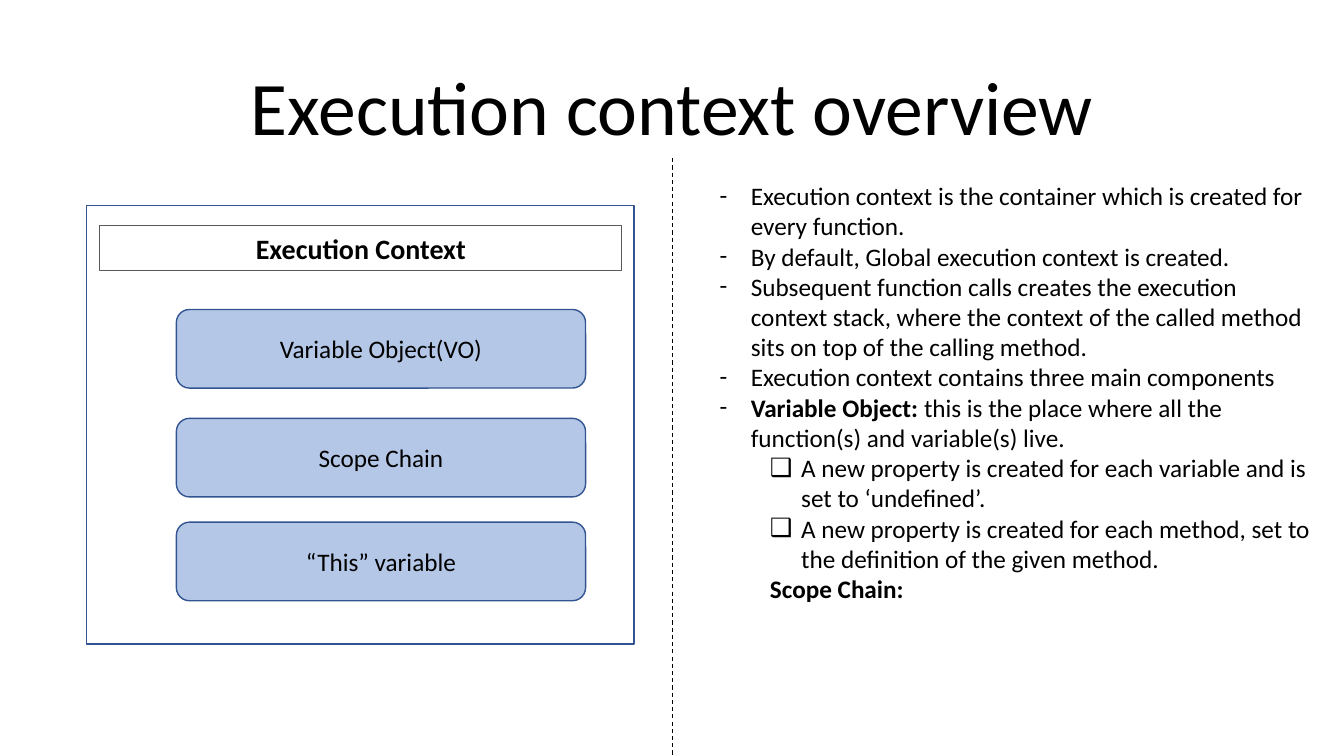
"""Build the slide that gives an overview of the execution context."""
from lxml.etree import SubElement
from pptx import Presentation
from pptx.dml.color import RGBColor
from pptx.enum.dml import MSO_LINE
from pptx.enum.shapes import MSO_CONNECTOR, MSO_SHAPE
from pptx.enum.text import MSO_ANCHOR, PP_ALIGN
from pptx.oxml.ns import qn
from pptx.util import Pt

PX = 9144
BLACK = RGBColor(0x00, 0x00, 0x00)
GRAY = RGBColor(0x59, 0x59, 0x59)
BLUE = RGBColor(0x32, 0x54, 0x91)
LIGHT_BLUE = RGBColor(0xB4, 0xC7, 0xE7)


def add_text(paragraph, text, size=18, bold=False, align=PP_ALIGN.LEFT):
    paragraph.alignment = align
    run = paragraph.add_run()
    run.text = text
    run.font.name = "Calibri"
    run.font.size = Pt(size)
    run.font.bold = bold
    run.font.color.rgb = BLACK


def add_box(kind, left, top, width, height, line, weight=1, fill=None):
    shape = slide.shapes.add_shape(kind, left * PX, top * PX, width * PX, height * PX)
    shape.shadow.inherit = False
    shape.line.color.rgb = line
    shape.line.width = Pt(weight)
    if fill is None:
        shape.fill.background()
    else:
        shape.fill.solid()
        shape.fill.fore_color.rgb = fill
    shape.text_frame.word_wrap = True
    shape.text_frame.vertical_anchor = MSO_ANCHOR.MIDDLE
    return shape


presentation = Presentation()
presentation.slide_width = 12192000
presentation.slide_height = 6858000
slide = presentation.slides.add_slide(presentation.slide_layouts[6])

title = slide.shapes.add_textbox(167 * PX, 62 * PX, 1000 * PX, 94 * PX).text_frame
title.word_wrap = True
title.vertical_anchor = MSO_ANCHOR.BOTTOM
title.paragraphs[0].line_spacing = 0.9
add_text(title.paragraphs[0], "Execution context overview", size=54, align=PP_ALIGN.CENTER)

add_box(MSO_SHAPE.RECTANGLE, 86, 204, 543, 435, BLUE)

components = [("Variable Object(VO)", 307), ("Scope Chain", 415), ("“This” variable", 518)]
for name, top in components:
    component = add_box(MSO_SHAPE.ROUNDED_RECTANGLE, 175, top, 406, 78, BLUE, fill=LIGHT_BLUE)
    add_text(component.text_frame.paragraphs[0], name, align=PP_ALIGN.CENTER)

header = add_box(MSO_SHAPE.RECTANGLE, 99, 224, 518, 44, GRAY, weight=0.75)
add_text(header.text_frame.paragraphs[0], "Execution Context", size=20, bold=True, align=PP_ALIGN.CENTER)

divider = slide.shapes.add_connector(MSO_CONNECTOR.STRAIGHT, 667 * PX, 157 * PX, 667 * PX, 750 * PX)
divider.line.color.rgb = BLACK
divider.line.width = Pt(0.75)
divider.line.dash_style = MSO_LINE.DASH
SubElement(divider.element.spPr, qn("a:effectLst"))

notes = [
    (0, "-", "", "Execution context is the container which is created for every function."),
    (0, "-", "", "By default, Global execution context is created."),
    (0, "-", "", "Subsequent function calls creates the execution context stack, "
                 "where the context of the called method sits on top of the calling method."),
    (0, "-", "", "Execution context contains three main components"),
    (0, "-", "Variable Object:", " this is the place where all the function(s) and variable(s) live."),
    (1, "❑", "", "A new property is created for each variable and is set to ‘undefined’."),
    (1, "❑", "", "A new property is created for each method, set to the definition of the given method."),
    (1, "", "Scope Chain:", ""),
]
explanation = slide.shapes.add_textbox(704 * PX, 174 * PX, 608 * PX, 464 * PX).text_frame
explanation.word_wrap = True
for index, (level, bullet, lead, text) in enumerate(notes):
    paragraph = explanation.add_paragraph() if index else explanation.paragraphs[0]
    paragraph.level = level
    hanging = 31 if bullet else 0
    properties = paragraph._p.get_or_add_pPr()
    properties.set("marL", str((50 * level + hanging) * PX))
    properties.set("indent", str(-hanging * PX))
    if bullet:
        SubElement(properties, qn("a:buFont"), typeface="Calibri")
        SubElement(properties, qn("a:buChar"), char=bullet)
    if lead:
        add_text(paragraph, lead, bold=True)
    if text:
        add_text(paragraph, text)

presentation.save("out.pptx")
